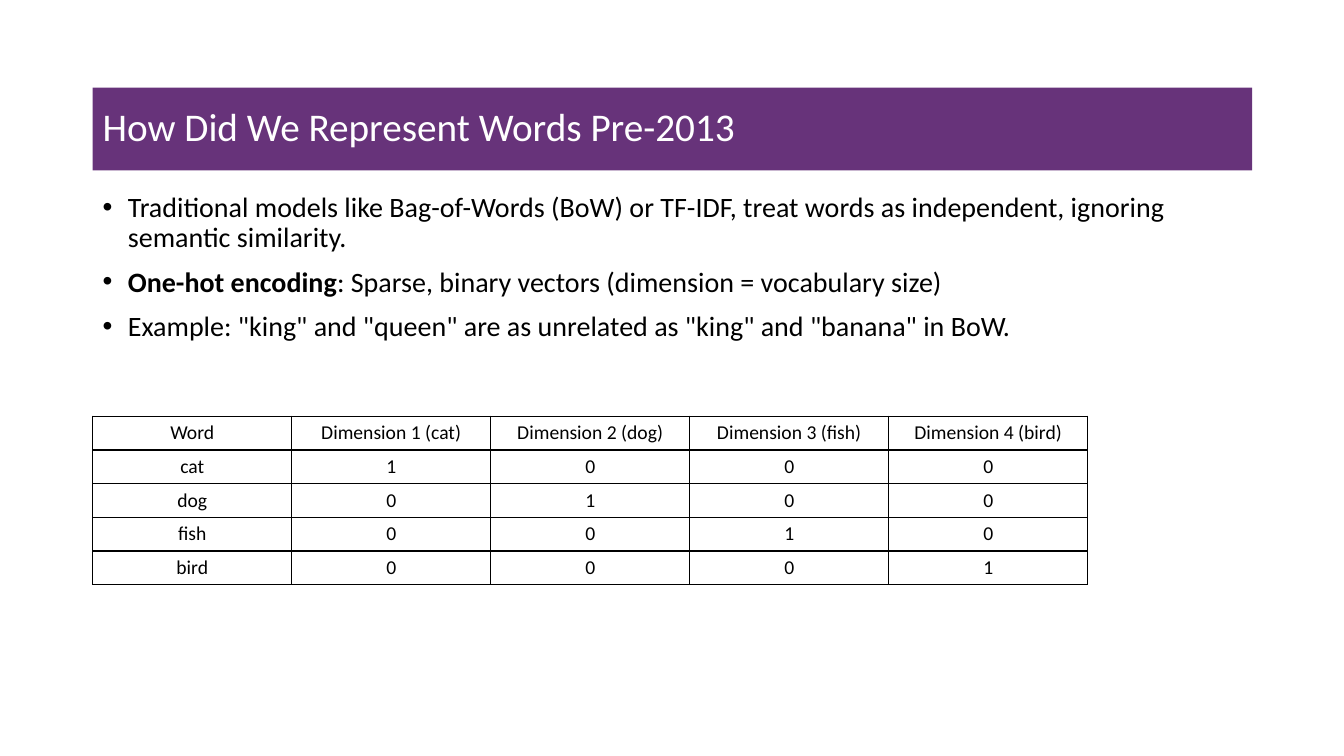
from dataclasses import dataclass

from lxml import etree
from pptx import Presentation
from pptx.dml.color import RGBColor
from pptx.enum.shapes import MSO_SHAPE
from pptx.enum.text import MSO_ANCHOR, PP_ALIGN
from pptx.oxml.ns import qn
from pptx.util import Inches, Pt

RECTANGLE = MSO_SHAPE.RECTANGLE
MIDDLE = MSO_ANCHOR.MIDDLE
LEFT, CENTER = PP_ALIGN.LEFT, PP_ALIGN.CENTER

COLORS = {"purple": "67337A", "white": "FFFFFF", "black": "000000"}
FONT = "Calibri"
MARGIN = Inches(0.92)
CONTENT_WIDTH = Inches(11.5)
COLUMN_WIDTH = Inches(1.974)
ROW_HEIGHT = Inches(0.33)


@dataclass
class Bullet:
    text: str
    lead: str = ""


BULLETS = [
    Bullet("Traditional models like Bag-of-Words (BoW) or TF-IDF, treat words as "
           "independent, ignoring semantic similarity."),
    Bullet(": Sparse, binary vectors (dimension = vocabulary size)", lead="One-hot encoding"),
    Bullet('Example: "king" and "queen" are as unrelated as "king" and "banana" in BoW.'),
]
WORDS = ["cat", "dog", "fish", "bird"]


def style_font(font, size: float, color: str, bold: bool = False) -> None:
    font.name = FONT
    font.size = Pt(size)
    font.bold = bold
    font.color.rgb = RGBColor.from_string(COLORS[color])


def add_title(slide, text: str) -> None:
    bar = slide.shapes.add_shape(RECTANGLE, MARGIN, Inches(0.87), CONTENT_WIDTH, Inches(0.82))
    bar.shadow.inherit = False
    bar.fill.solid()
    bar.fill.fore_color.rgb = RGBColor.from_string(COLORS["purple"])
    bar.line.fill.background()
    bar.text_frame.text = text
    bar.text_frame.vertical_anchor = MIDDLE
    para = bar.text_frame.paragraphs[0]
    para.alignment = LEFT
    para.line_spacing = 0.9
    style_font(para.runs[0].font, 28, "white")


def add_bullets(slide, bullets: list[Bullet]) -> None:
    box = slide.shapes.add_textbox(MARGIN, Inches(1.87), CONTENT_WIDTH, Inches(2.03))
    frame = box.text_frame
    frame.word_wrap = True
    for index, bullet in enumerate(bullets):
        para = frame.add_paragraph() if index else frame.paragraphs[0]
        properties = para._p.get_or_add_pPr()
        properties.set("marL", str(Inches(0.25)))
        properties.set("indent", str(-Inches(0.25)))
        etree.SubElement(properties, qn("a:buFont")).set("typeface", "Arial")
        etree.SubElement(properties, qn("a:buChar")).set("char", "•")
        para.line_spacing = 0.9
        para.space_before = Pt(10 if index else 0)
        for text, bold in ((bullet.lead, True), (bullet.text, False)):
            if text:
                span = para.add_run()
                span.text = text
                style_font(span.font, 20, "black", bold)


def add_borders(cell, color: str) -> None:
    properties = cell._tc.get_or_add_tcPr()
    for side in ("lnL", "lnR", "lnT", "lnB"):
        line = etree.SubElement(properties, qn(f"a:{side}"), w=str(Pt(1)))
        fill = etree.SubElement(line, qn("a:solidFill"))
        etree.SubElement(fill, qn("a:srgbClr"), val=COLORS[color])


def add_one_hot_table(slide, words: list[str]) -> None:
    header = ["Word"] + [f"Dimension {n} ({word})" for n, word in enumerate(words, 1)]
    rows = [header] + [[word] + [str(int(word == other)) for other in words] for word in words]
    count = len(header)
    table = slide.shapes.add_table(len(rows), count, MARGIN, Inches(4.13),
                                   COLUMN_WIDTH * count, ROW_HEIGHT * len(rows)).table
    table.first_row = False
    table.horz_banding = False
    for column in table.columns:
        column.width = COLUMN_WIDTH
    for row, values in zip(table.rows, rows):
        row.height = ROW_HEIGHT
        for cell, value in zip(row.cells, values):
            cell.text_frame.text = value
            cell.vertical_anchor = MIDDLE
            add_borders(cell, "black")
            cell.fill.background()
            para = cell.text_frame.paragraphs[0]
            para.alignment = CENTER
            style_font(para.runs[0].font, 14, "black")


def main() -> None:
    deck = Presentation()
    deck.slide_width = Inches(13.33)
    deck.slide_height = Inches(7.5)
    page = deck.slides.add_slide(deck.slide_layouts[6])

    # Title bar
    add_title(page, "How Did We Represent Words Pre-2013")
    # Key points
    add_bullets(page, BULLETS)
    # One-hot vectors
    add_one_hot_table(page, WORDS)

    deck.save("out.pptx")


if __name__ == "__main__":
    main()
